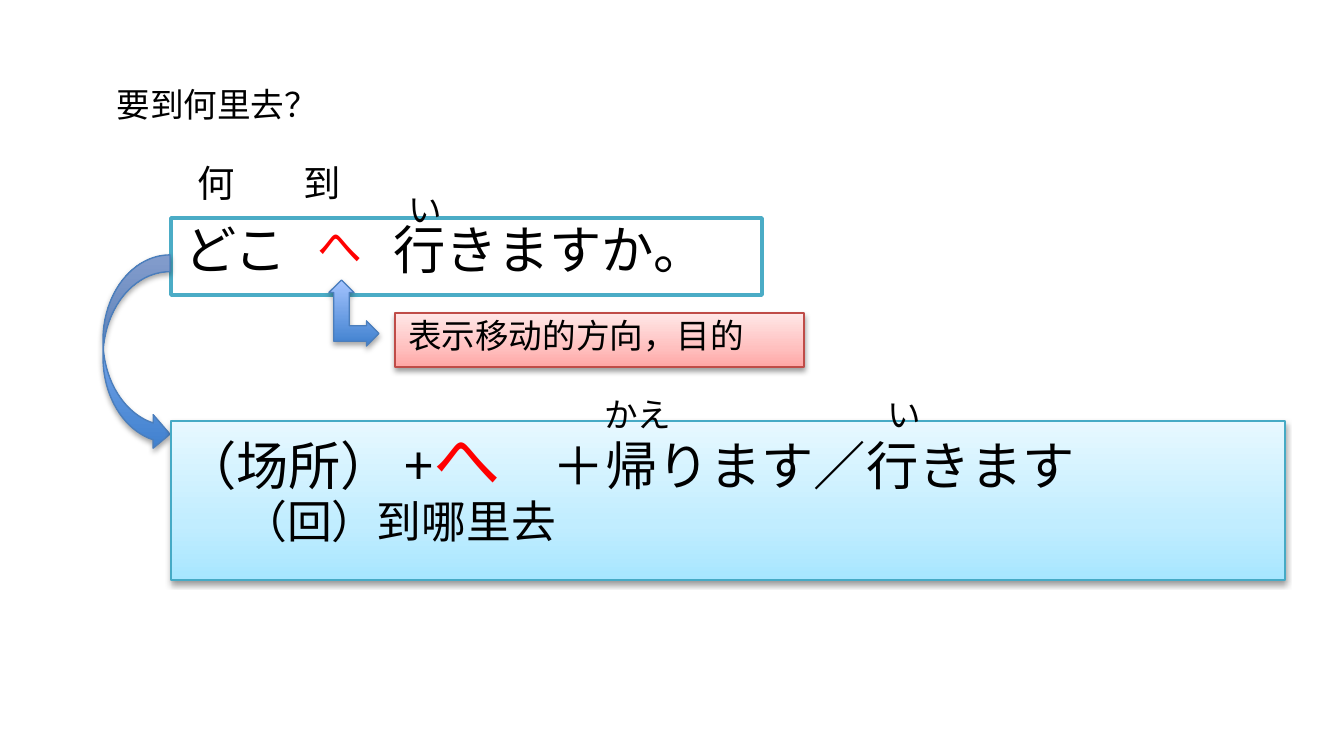
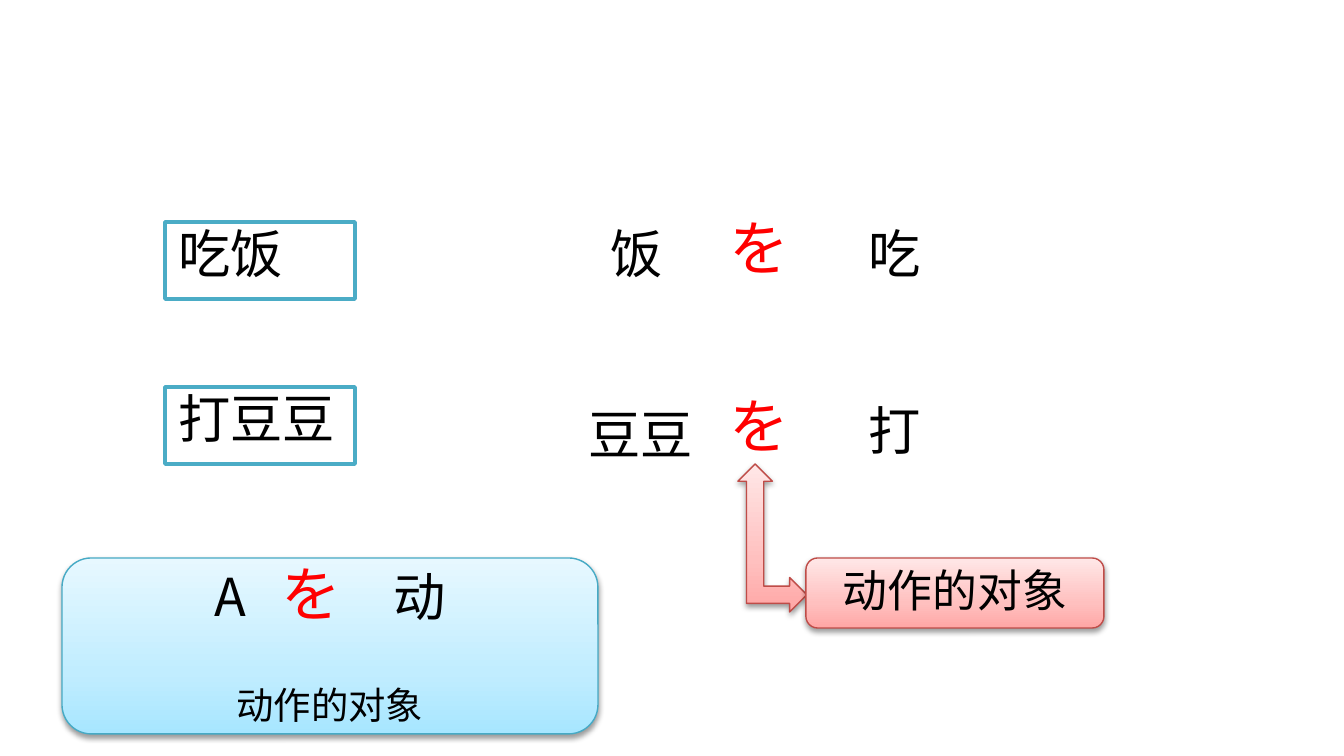
"""Builds two Japanese grammar slides on the particles へ and を."""
from dataclasses import dataclass
from typing import Any

from lxml import etree
from pptx import Presentation
from pptx.dml.color import RGBColor
from pptx.enum.shapes import MSO_SHAPE
from pptx.enum.text import MSO_ANCHOR, MSO_AUTO_SIZE, PP_ALIGN
from pptx.oxml.ns import qn
from pptx.util import Emu, Pt

RECTANGLE = MSO_SHAPE.RECTANGLE
ROUNDED = MSO_SHAPE.ROUNDED_RECTANGLE
ELBOW_ARROW = MSO_SHAPE.LEFT_UP_ARROW
CURVED_ARROW = MSO_SHAPE.CURVED_RIGHT_ARROW
TOP, MIDDLE = MSO_ANCHOR.TOP, MSO_ANCHOR.MIDDLE
LEFT, CENTER = PP_ALIGN.LEFT, PP_ALIGN.CENTER
FIXED_SIZE = MSO_AUTO_SIZE.NONE

EMU_PER_PX = 914400 / 134.4
SLIDE_WIDTH, SLIDE_HEIGHT = 1344, 756
TITLE_ONLY, BLANK = 5, 6
NOTO, CALIBRI = "Noto Sans CJK SC", "Calibri"
LINE_SPACING = 0.9

BLACK = RGBColor(0x00, 0x00, 0x00)
WHITE = RGBColor(0xFF, 0xFF, 0xFF)
RED = RGBColor(0xFF, 0x00, 0x00)
TEAL = RGBColor(0x4B, 0xAC, 0xC6)
AQUA_LINE = RGBColor(0x46, 0xAA, 0xC5)
AQUA_DARK = RGBColor(0xA7, 0xE6, 0xFF)
AQUA_MIDDLE = RGBColor(0xC1, 0xED, 0xFF)
AQUA_LIGHT = RGBColor(0xE7, 0xF8, 0xFF)
PINK_LINE = RGBColor(0xBF, 0x4C, 0x48)
PINK_DARK = RGBColor(0xFF, 0xA6, 0xA5)
PINK_MIDDLE = RGBColor(0xFF, 0xC0, 0xBF)
PINK_LIGHT = RGBColor(0xFF, 0xE7, 0xE7)
BLUE_LINE = RGBColor(0x4B, 0x7E, 0xBC)
BLUE_DARK = RGBColor(0x3F, 0x80, 0xCE)
BLUE_LIGHT = RGBColor(0xA4, 0xC4, 0xFF)


@dataclass(frozen=True)
class Box:
    left: int
    top: int
    width: int
    height: int


@dataclass(frozen=True)
class Look:
    line: RGBColor
    line_width: float
    stops: tuple[tuple[int, RGBColor], ...] = ()
    shadow_alpha: int = 0
    shadow_distance: float = 0


@dataclass(frozen=True)
class Run:
    text: str
    size: int
    color: RGBColor = BLACK
    font: str = NOTO
    spacing: int = 0


@dataclass(frozen=True)
class Line:
    runs: tuple[Run, ...]
    indent: int = 0
    tab: int = 0
    space_before: int = 0


@dataclass(frozen=True)
class Label:
    box: Box
    lines: tuple[Line, ...]


@dataclass(frozen=True)
class Figure:
    box: Box
    kind: Any
    look: Look
    lines: tuple[Line, ...] = ()
    centered: bool = False
    flipped: bool = False
    adjustments: tuple[float, ...] = ()


OUTLINE = Look(TEAL, 2)
AQUA = Look(AQUA_LINE, 0.75, ((0, AQUA_DARK), (35, AQUA_MIDDLE), (100, AQUA_LIGHT)), 38, 1.6)
PINK = Look(PINK_LINE, 0.75, ((0, PINK_DARK), (35, PINK_MIDDLE), (100, PINK_LIGHT)), 38, 1.6)
BLUE = Look(BLUE_LINE, 0.75, ((0, BLUE_DARK), (100, BLUE_LIGHT)), 35, 1.8)


def px(length: int) -> Emu:
    """Turn pixels into EMU."""
    return Emu(round(length * EMU_PER_PX))


def apply(target: Any, values: dict[str, Any]) -> None:
    """Set each named attribute on the target."""
    for name, value in values.items():
        setattr(target, name, value)


def add_element(parent: Any, tag: str, **attributes: Any) -> Any:
    """Append a child element with the given attributes."""
    return etree.SubElement(parent, qn(tag), {key: str(value) for key, value in attributes.items()})


def place(box: Box) -> tuple[Emu, Emu, Emu, Emu]:
    """Give the box as EMU lengths."""
    return px(box.left), px(box.top), px(box.width), px(box.height)


def text(content: str, size: int, color: RGBColor = BLACK, font: str = NOTO, tab: int = 0) -> tuple[Line, ...]:
    """Describe a single line in one format."""
    return (Line((Run(content, size, color, font),), tab=tab),)


def write_run(paragraph: Any, item: Run) -> None:
    """Add one formatted run to the paragraph."""
    run = paragraph.add_run()
    run.text = item.text
    apply(run.font, {"size": Pt(item.size), "name": item.font})
    run.font.color.rgb = item.color
    properties = run.font._element if hasattr(run.font, "_element") else run._r.get_or_add_rPr()
    add_element(properties, "a:ea", typeface=NOTO)
    if item.spacing:
        properties.set("spc", str(item.spacing))


def write_lines(frame: Any, lines: tuple[Line, ...], centered: bool = False) -> None:
    """Fill a text frame with lines."""
    apply(frame, {
        "auto_size": FIXED_SIZE,
        "word_wrap": True,
        "vertical_anchor": MIDDLE if centered else TOP,
    })
    for index, line in enumerate(lines):
        paragraph = frame.add_paragraph() if index else frame.paragraphs[0]
        apply(paragraph, {
            "alignment": CENTER if centered else LEFT,
            "line_spacing": LINE_SPACING,
            "space_before": Pt(line.space_before),
        })
        properties = paragraph._p.get_or_add_pPr()
        if line.indent:
            properties.set("marL", str(px(line.indent)))
        if line.tab:
            tabs = add_element(properties, "a:tabLst")
            add_element(tabs, "a:tab", pos=px(line.tab), algn="l")
        for item in line.runs:
            write_run(paragraph, item)


def add_title(slide: Any, label: Label) -> None:
    """Move and fill the title placeholder."""
    title = slide.shapes.title
    apply(title, dict(zip(("left", "top", "width", "height"), place(label.box))))
    write_lines(title.text_frame, label.lines)


def add_label(slide: Any, label: Label) -> None:
    """Add a plain text box."""
    shape = slide.shapes.add_textbox(*place(label.box))
    write_lines(shape.text_frame, label.lines)


def paint(shape: Any, look: Look) -> None:
    """Give the shape its fill, line and shadow."""
    shape.shadow.inherit = False
    shape.line.color.rgb = look.line
    shape.line.width = Pt(look.line_width)
    if not look.stops:
        shape.fill.solid()
        shape.fill.fore_color.rgb = WHITE
        return
    shape.fill.gradient()
    shape.fill.gradient_angle = 90
    properties = shape.element.spPr
    stop_list = properties.find(".//" + qn("a:gsLst"))
    for old_stop in list(stop_list):
        stop_list.remove(old_stop)
    for position, color in look.stops:
        stop = add_element(stop_list, "a:gs", pos=position * 1000)
        add_element(stop, "a:srgbClr", val=color)
    shadow = add_element(
        properties.find(qn("a:effectLst")), "a:outerShdw",
        blurRad=Pt(3.1), dist=Pt(look.shadow_distance), dir=5400000, rotWithShape=0,
    )
    color_element = add_element(shadow, "a:srgbClr", val=BLACK)
    add_element(color_element, "a:alpha", val=look.shadow_alpha * 1000)


def add_figure(slide: Any, figure: Figure) -> None:
    """Add a preset shape with its look and text."""
    shape = slide.shapes.add_shape(figure.kind, *place(figure.box))
    paint(shape, figure.look)
    for index, value in enumerate(figure.adjustments):
        shape.adjustments[index] = value
    if figure.flipped:
        shape.element.spPr.find(qn("a:xfrm")).set("flipH", "1")
    if figure.lines:
        write_lines(shape.text_frame, figure.lines, figure.centered)


def add_items(slide: Any, items: tuple[Label | Figure, ...]) -> None:
    """Draw labels and figures from back to front."""
    for item in items:
        if isinstance(item, Figure):
            add_figure(slide, item)
        else:
            add_label(slide, item)


QUESTION = Label(Box(103, 82, 353, 54), text("要到何里去？", 18))

DIRECTION_PATTERN = (
    Line((Run("（场所） +", 28), Run("へ", 36, RED), Run("\u3000＋帰ります／行きます".replace("\u3000", "　"), 28))),
    Line((Run("（回）到哪里去", 24),), indent=58),
)
DIRECTION_ITEMS = (
    Figure(Box(171, 218, 591, 77), RECTANGLE, OUTLINE, text("どこ\t行きますか。", 28, tab=209)),
    Label(Box(304, 218, 75, 67), text("へ", 24, RED)),
    Figure(Box(329, 280, 50, 66), ELBOW_ARROW, BLUE, flipped=True, adjustments=(0.31, 0.25, 0.25)),
    Figure(Box(395, 313, 409, 54), RECTANGLE, PINK, text("表示移动的方向，目的", 18, font=CALIBRI)),
    Figure(Box(103, 255, 67, 196), CURVED_ARROW, BLUE),
    Label(Box(184, 159, 238, 59), text("何\t到", 20, tab=106)),
    Figure(Box(171, 421, 1114, 159), RECTANGLE, AQUA, DIRECTION_PATTERN),
    Label(Box(591, 392, 113, 54), text("かえ", 18, font=CALIBRI)),
    Label(Box(395, 187, 58, 54), text("い", 18, font=CALIBRI)),
    Label(Box(874, 392, 93, 54), text("い", 18)),
)

OBJECT_PATTERN = (
    Line((Run("A", 28), Run(" ", 28, spacing=1250), Run("を", 32, RED), Run("　动", 28))),
    Line((Run("动作的对象", 20),), space_before=31),
)
OBJECT_ITEMS = (
    Figure(Box(165, 222, 190, 77), RECTANGLE, OUTLINE, text("吃饭", 28)),
    Figure(Box(165, 387, 190, 77), RECTANGLE, OUTLINE, text("打豆豆", 28)),
    Label(Box(597, 222, 103, 77), text("饭", 28)),
    Label(Box(855, 222, 124, 77), text("吃", 28)),
    Label(Box(575, 403, 141, 77), text("豆豆", 28)),
    Label(Box(855, 399, 94, 77), text("打", 28)),
    Label(Box(716, 390, 110, 86), text("を", 32, RED)),
    Label(Box(716, 212, 110, 86), text("を", 32, RED)),
    Figure(Box(738, 464, 69, 148), ELBOW_ARROW, PINK, flipped=True),
    Figure(Box(806, 558, 298, 70), ROUNDED, PINK, text("动作的对象", 24), centered=True),
    Figure(Box(62, 558, 536, 176), ROUNDED, AQUA, OBJECT_PATTERN, centered=True),
)


def main() -> None:
    """Build and save the presentation."""
    presentation = Presentation()
    apply(presentation, {"slide_width": px(SLIDE_WIDTH), "slide_height": px(SLIDE_HEIGHT)})
    direction_slide = presentation.slides.add_slide(presentation.slide_layouts[TITLE_ONLY])
    add_title(direction_slide, QUESTION)
    add_items(direction_slide, DIRECTION_ITEMS)
    object_slide = presentation.slides.add_slide(presentation.slide_layouts[BLANK])
    add_items(object_slide, OBJECT_ITEMS)
    presentation.save("out.pptx")


if __name__ == "__main__":
    main()
